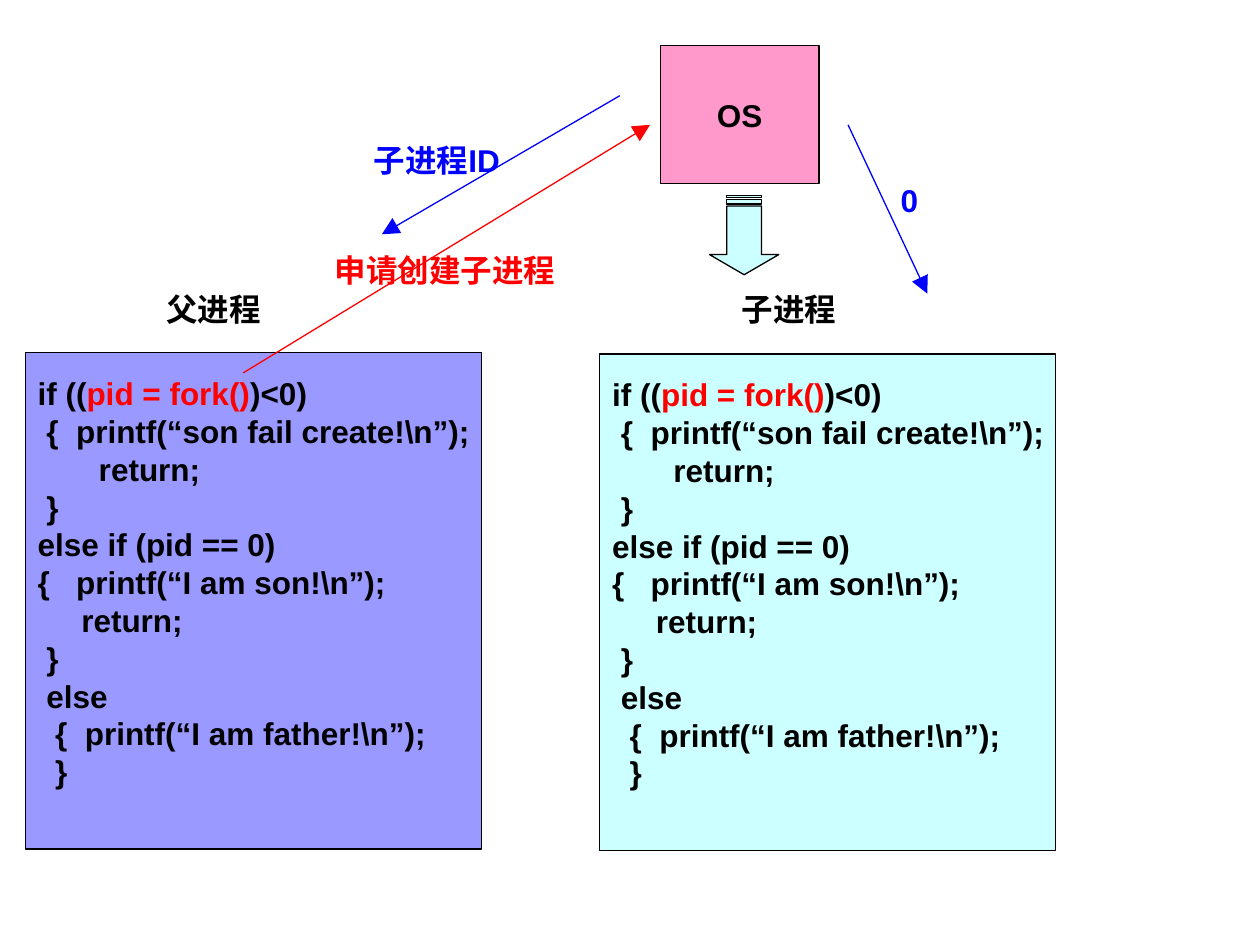
from lxml import etree
from pptx import Presentation, util as u
from pptx.dml.color import RGBColor
from pptx.enum import shapes, text
from pptx.oxml.ns import qn

Pt = u.Pt
BLACK, RED, BLUE, CYAN = "000000", "FF0000", "0000FF", "CCFFFF"

# Content: each line is a list of (text, colour) spans
CODE = [[("if ((", BLACK), ("pid = fork()", RED), (")<0)", BLACK)]] + [
    [(line, BLACK)] for line in (
        " {  printf(“son fail create!\\n”);",
        "       return;",
        " }",
        "else if (pid == 0)",
        "{   printf(“I am son!\\n”);",
        "     return;",
        " }",
        " else",
        "  {  printf(“I am father!\\n”);",
        "  }",
    )
]
LINE_HEIGHT = 21.6
CODE_SIZE = (260.6, 283.6)
PROCESSES = [((14.4, 201.6), "9999FF"), ((342.7, 202.3), CYAN)]
OS_AREA = (377.3, 25.9, 90.7, 79.2)
ARROW_AREA = (402.5, 114.5, 45.4, 39.6)

# Text, area, colour, wrap
LABELS = [
    ("父进程", (87.8, 162, 68.4, 28.8), BLACK, False),
    ("子进程", (416.9, 162, 68.4, 28.8), BLACK, False),
    ("申请创建子进程", (184.3, 139.7, 140.4, 28.8), RED, False),
    ("子进程ID", (206.6, 77, 86.4, 50.4), BLUE, True),
    ("0", (507.6, 100.1, 45.4, 28.8), BLUE, True),
]
# Start, end, colour
MESSAGES = [
    ((139, 213.1), (371.5, 71.3), RED),
    ((354.2, 54.7), (218.2, 133.9), BLUE),
    ((484.6, 71.3), (529.9, 167.8), BLUE),
]

deck = Presentation()
deck.slide_width, deck.slide_height = Pt(720), Pt(540)
page = deck.slides.add_slide(deck.slide_layouts[6])


def colour(value):
    return RGBColor.from_string(value)


def outline(line, value):
    line.color.rgb = colour(value)
    line.width = Pt(0.75)


def write(shape, lines, align=text.PP_ALIGN.LEFT, spacing=None, **frame_format):
    frame = shape.text_frame
    values = {"word_wrap": False, "margin_left": Pt(7.2), "margin_right": Pt(7.2),
              "margin_top": Pt(3.6), "margin_bottom": Pt(3.6), **frame_format}
    for name, value in values.items():
        setattr(frame, name, value)
    for number, spans in enumerate(lines):
        para = frame.add_paragraph() if number else frame.paragraphs[0]
        para.alignment = align
        para.line_spacing = spacing
        for words, ink in spans:
            span = para.add_run()
            span.text = words
            for name, value in {"name": "Arial", "size": Pt(18), "bold": True}.items():
                setattr(span.font, name, value)
            span.font.color.rgb = colour(ink)


def add_box(kind, area, fill):
    box = page.shapes.add_shape(kind, *map(Pt, area))
    box.shadow.inherit = False
    box.fill.solid()
    box.fill.fore_color.rgb = colour(fill)
    outline(box.line, BLACK)
    return box


# Code of both processes, raised by one line height
for corner, fill in PROCESSES:
    box = add_box(shapes.MSO_SHAPE.RECTANGLE, corner + CODE_SIZE, fill)
    write(box, CODE, spacing=Pt(LINE_HEIGHT), vertical_anchor=text.MSO_ANCHOR.MIDDLE,
          margin_bottom=Pt(3.6 + LINE_HEIGHT))

# Operating system and the arrow to the new process
box = add_box(shapes.MSO_SHAPE.RECTANGLE, OS_AREA, "FF99CC")
write(box, [[("OS", BLACK)]], align=text.PP_ALIGN.CENTER,
      vertical_anchor=text.MSO_ANCHOR.MIDDLE)
arrow = add_box(shapes.MSO_SHAPE.STRIPED_RIGHT_ARROW, ARROW_AREA, CYAN)
arrow.rotation = 90
arrow.adjustments[0], arrow.adjustments[1] = 0.5, 0.29

# Messages between the processes and the system
for start, end, ink in MESSAGES:
    link = page.shapes.add_connector(shapes.MSO_CONNECTOR.STRAIGHT,
                                     *map(Pt, start + end))
    outline(link.line, ink)
    etree.SubElement(link.line._get_or_add_ln(), qn("a:tailEnd"),
                     type="triangle", w="lg", len="lg")
    etree.SubElement(link._element.spPr, qn("a:effectLst"))

# Labels
for words, area, ink, wrap in LABELS:
    label = page.shapes.add_textbox(*map(Pt, area))
    write(label, [[(words, ink)]], word_wrap=wrap)

deck.save("out.pptx")
